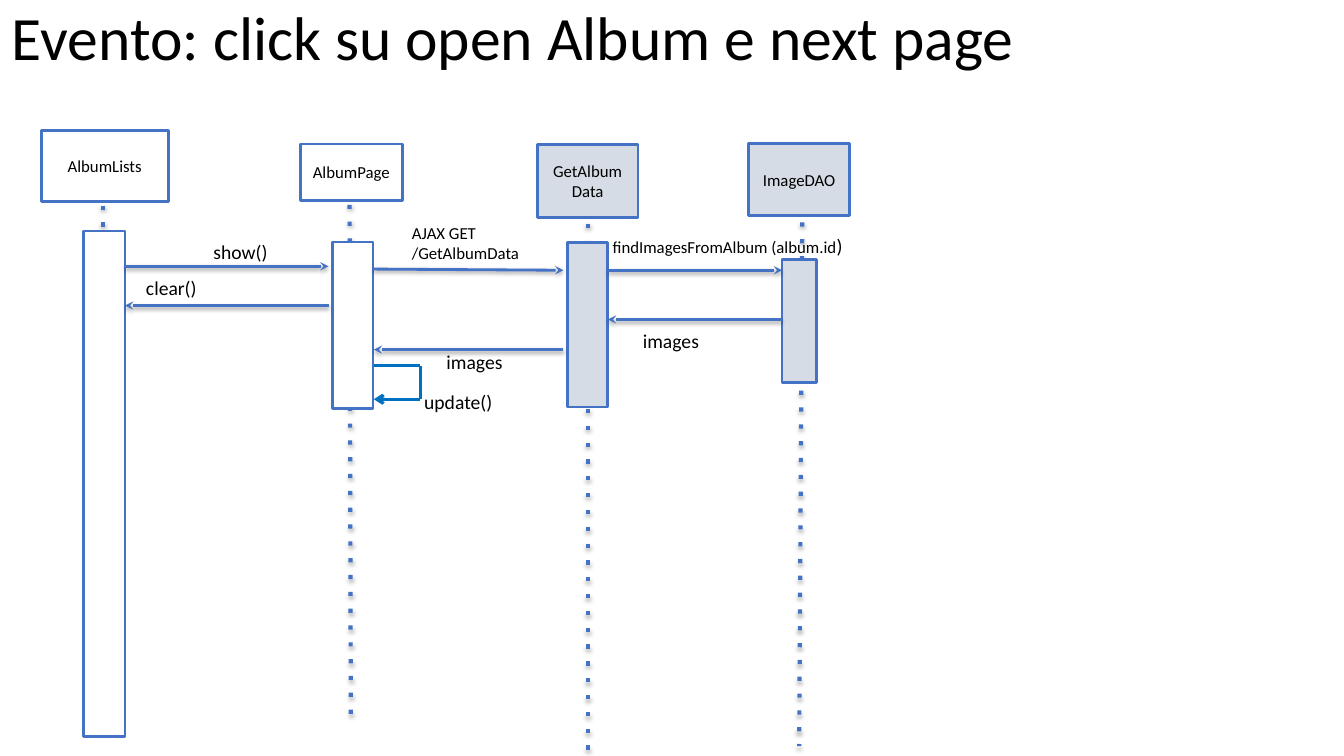
from lxml import etree
from pptx import Presentation
from pptx.dml.color import RGBColor
from pptx.enum.shapes import MSO_CONNECTOR, MSO_SHAPE
from pptx.enum.text import MSO_ANCHOR, MSO_AUTO_SIZE, PP_ALIGN
from pptx.oxml import parse_xml
from pptx.oxml.ns import nsdecls, qn
from pptx.util import Cm, Pt

STRAIGHT = MSO_CONNECTOR.STRAIGHT
RECTANGLE = MSO_SHAPE.RECTANGLE
MIDDLE = MSO_ANCHOR.MIDDLE
NO_AUTOFIT = MSO_AUTO_SIZE.NONE
LEFT, CENTER = PP_ALIGN.LEFT, PP_ALIGN.CENTER

BLUE, CALL_BLUE = "4472C4", "0070C0"
WHITE, GREY, BLACK = "FFFFFF", "D6DCE5", "000000"
FRAME_FORMAT = {
    "word_wrap": True, "auto_size": NO_AUTOFIT,
    "margin_left": Cm(0.3), "margin_right": Cm(0.3),
    "margin_top": Cm(0.15), "margin_bottom": Cm(0.15),
}


def write(frame, lines, align=LEFT):
    """Fill a text frame; each line is a list of (text, size) runs."""
    for name, value in FRAME_FORMAT.items():
        setattr(frame, name, value)
    for number, runs in enumerate(lines):
        paragraph = frame.add_paragraph() if number else frame.paragraphs[0]
        paragraph.alignment = align
        for text, size in runs:
            run = paragraph.add_run()
            run.text = text
            run.font.size, run.font.name = Pt(size), "Calibri"
            run.font.color.rgb = RGBColor.from_string(BLACK)


def draw_line(ends, color, width, dash=None, arrow=None, shadow=None):
    """Draw a connector; shadow is its (opacity %, distance pt)."""
    connector = slide.shapes.add_connector(STRAIGHT, *map(Cm, ends))
    connector.line.color.rgb = RGBColor.from_string(color)
    connector.line.width = Pt(width)
    outline = connector.line._get_or_add_ln()
    if dash:
        etree.SubElement(outline, qn("a:prstDash"), val=dash)
    if arrow:
        etree.SubElement(outline, qn("a:tailEnd"), type=arrow)
    effects = parse_xml(f"<a:effectLst {nsdecls('a')}/>")
    if shadow:
        opacity, distance = shadow
        outer = etree.SubElement(
            effects, qn("a:outerShdw"), blurRad=str(Pt(3.1)),
            dist=str(Pt(distance)), dir="5400000", rotWithShape="0")
        shade = etree.SubElement(outer, qn("a:srgbClr"), val=BLACK)
        etree.SubElement(shade, qn("a:alpha"), val=str(opacity * 1000))
    connector._element.spPr.append(effects)


prs = Presentation()
prs.slide_width, prs.slide_height = Cm(33.87), Cm(19.05)
slide = prs.slides.add_slide(prs.slide_layouts[5])

title = slide.shapes.title
title.left, title.top, title.width, title.height = Cm(0), Cm(0), Cm(26.29), Cm(2.03)
write(title.text_frame, [[("Evento: click su open Album e next page", 44)]])
title.text_frame.vertical_anchor = MIDDLE
title.text_frame.paragraphs[0].line_spacing = 0.9

# name, fill, head box, lifeline ends, activation bar
participants = [
    ("AlbumLists", WHITE, (1.04, 3.28, 3.2, 1.8),
     (2.59, 5.18, 2.59, 17.48), (2.11, 5.82, 1.04, 12.75)),
    ("AlbumPage", WHITE, (7.57, 3.63, 2.57, 1.42),
     (8.81, 5.16, 8.84, 18.08), (8.38, 6.1, 1.02, 4.19)),
    ("GetAlbumData", GREY, (13.54, 3.65, 2.54, 1.83),
     (14.81, 5.64, 14.81, 19.05), (14.3, 6.12, 1.02, 4.14)),
    ("ImageDAO", GREY, (18.87, 3.61, 2.54, 1.83),
     (20.22, 5.18, 20.14, 18.8), (19.71, 6.55, 0.86, 3.1)),
]
for name, fill, head, lifeline, activation in participants:
    draw_line(lifeline, BLUE, 3, dash="dot", shadow=(35, 1.8))
    for box, caption in ((head, name), (activation, None)):
        part = slide.shapes.add_shape(RECTANGLE, *map(Cm, box))
        part.shadow.inherit = False
        part.fill.solid()
        part.fill.fore_color.rgb = RGBColor.from_string(fill)
        part.line.color.rgb = RGBColor.from_string(BLUE)
        part.line.width = Pt(2)
        if caption:
            write(part.text_frame, [[(caption, 12)]], CENTER)
            part.text_frame.vertical_anchor = MIDDLE

# arrow ends, label box, label lines
messages = [
    ((3.15, 6.71, 8.28, 6.71), (5.08, 5.89, 2.24, 0.91), [[("show()", 14)]]),
    ((8.28, 7.7, 3.15, 7.7), (3.38, 6.81, 2.54, 1.24), [[("clear()", 14)]]),
    ((9.4, 6.78, 14.2, 6.81), (10.08, 5.46, 3.58, 1.22),
     [[("AJAX GET", 12)], [("/GetAlbumData", 12)]]),
    ((15.32, 6.81, 19.71, 6.81), (15.14, 5.74, 6.86, 1.65),
     [[("findImagesFromAlbum (album.id", 12), (")", 14)]]),
    ((19.71, 8.05, 15.32, 8.05), (15.9, 8.15, 3.33, 0.86), [[("images", 14)]]),
    ((14.2, 8.81, 9.42, 8.81), (10.95, 8.66, 3.33, 0.86), [[("images", 14)]]),
    (None, (10.39, 9.68, 2.54, 1.24), [[("update()", 14)]]),
]
for arrow_ends, label_box, label_lines in messages:
    if arrow_ends:
        draw_line(arrow_ends, BLUE, 2, arrow="stealth", shadow=(38, 1.6))
    label = slide.shapes.add_textbox(*map(Cm, label_box))
    write(label.text_frame, label_lines)

# AlbumPage calls its own update()
self_call = [(9.42, 9.22), (10.59, 9.22), (10.59, 10.06), (9.42, 10.06)]
for start, end in zip(self_call, self_call[1:]):
    arrow = "arrow" if end == self_call[-1] else None
    draw_line(start + end, CALL_BLUE, 2.25, arrow=arrow)

prs.save("out.pptx")
